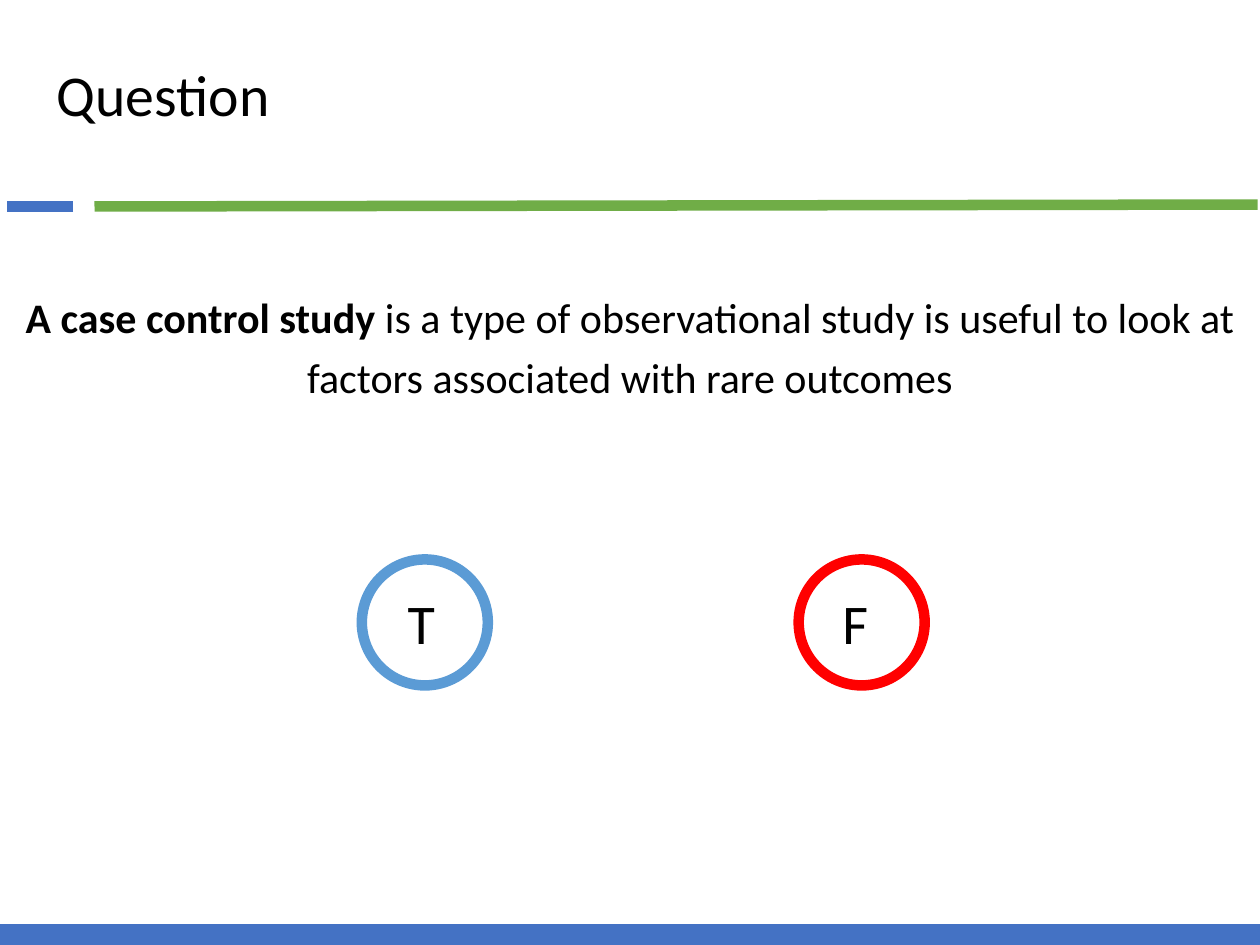
from dataclasses import dataclass

from lxml import etree
from pptx import Presentation
from pptx.dml.color import RGBColor
from pptx.enum import shapes, text
from pptx.oxml import ns
from pptx.util import Pt

BLACK = RGBColor(0x00, 0x00, 0x00)
WHITE = RGBColor(0xFF, 0xFF, 0xFF)
GREEN = RGBColor(0x70, 0xAD, 0x47)
BLUE = RGBColor(0x44, 0x72, 0xC4)
LIGHT_BLUE = RGBColor(0x5B, 0x9B, 0xD5)
RED = RGBColor(0xFF, 0x00, 0x00)
FONT = "Calibri"
CIRCLE_SIZE = 72
CIRCLE_TOP = 319.7


@dataclass(frozen=True)
class Rule:
    start: tuple[float, float]
    end: tuple[float, float]
    color: RGBColor
    weight: float


@dataclass(frozen=True)
class Choice:
    left: float
    color: RGBColor
    letter: str
    space_size: float
    space_color: RGBColor


RULES = [
    Rule((718.6, 116.9), (54, 118), GREEN, 6),
    Rule((41.8, 118), (3.9, 118), BLUE, 6),
    Rule((720, 534), (0, 534), BLUE, 12),
]
CHOICES = [
    Choice(206.8, LIGHT_BLUE, "T", 18, WHITE),
    Choice(456.4, RED, "F", 32, BLACK),
]


def add_text(paragraph, content: str, *, size: float, color: RGBColor = BLACK,
             bold: bool = False) -> None:
    run = paragraph.add_run()
    run.text = content
    run.font.name = FONT
    run.font.size = Pt(size)
    run.font.bold = bold
    run.font.color.rgb = color


def place(shape, left: float, top: float, width: float, height: float) -> None:
    shape.left, shape.top = Pt(left), Pt(top)
    shape.width, shape.height = Pt(width), Pt(height)


def draw_rule(slide, rule: Rule) -> None:
    line = slide.shapes.add_connector(
        shapes.MSO_CONNECTOR.STRAIGHT,
        *(Pt(value) for value in rule.start + rule.end))
    line.line.color.rgb = rule.color
    line.line.width = Pt(rule.weight)
    etree.SubElement(line._element.spPr, ns.qn("a:effectLst"))


def draw_choice(slide, choice: Choice) -> None:
    circle = slide.shapes.add_shape(
        shapes.MSO_SHAPE.OVAL, Pt(choice.left), Pt(CIRCLE_TOP),
        Pt(CIRCLE_SIZE), Pt(CIRCLE_SIZE))
    circle.shadow.inherit = False
    circle.fill.background()
    circle.line.color.rgb = choice.color
    circle.line.width = Pt(6)
    circle.text_frame.vertical_anchor = text.MSO_ANCHOR.MIDDLE
    label = circle.text_frame.paragraphs[0]
    label.alignment = text.PP_ALIGN.CENTER
    add_text(label, choice.letter, size=32)
    add_text(label, " ", size=choice.space_size, color=choice.space_color)


def fill_title(title) -> None:
    place(title, 25.2, 15.8, 687.6, 80.6)
    title.text_frame.auto_size = text.MSO_AUTO_SIZE.NONE
    title.text_frame.vertical_anchor = text.MSO_ANCHOR.MIDDLE
    heading = title.text_frame.paragraphs[0]
    heading.alignment = text.PP_ALIGN.LEFT
    heading.line_spacing = 0.9
    add_text(heading, "Question", size=33)


def fill_statement(body) -> None:
    place(body, 7.2, 157, 705.6, 141)
    body.text_frame.auto_size = text.MSO_AUTO_SIZE.NONE
    statement = body.text_frame.paragraphs[0]
    statement.alignment = text.PP_ALIGN.CENTER
    statement.line_spacing = 1.2
    statement.space_before = statement.space_after = Pt(12)
    properties = statement._p.get_or_add_pPr()
    properties.set("marL", "0")
    properties.set("indent", "0")
    etree.SubElement(properties, ns.qn("a:buNone"))
    add_text(statement, "A case control study ", size=24, bold=True)
    add_text(statement, "is a type of observational study is useful to look at "
             "factors associated with rare outcomes", size=24)


def main() -> None:
    deck = Presentation()
    deck.slide_width, deck.slide_height = Pt(720), Pt(540)
    slide = deck.slides.add_slide(deck.slide_layouts[1])
    for rule in RULES:
        draw_rule(slide, rule)
    fill_title(slide.shapes.title)
    fill_statement(slide.placeholders[1])
    for choice in CHOICES:
        draw_choice(slide, choice)
    deck.save("out.pptx")


if __name__ == "__main__":
    main()
